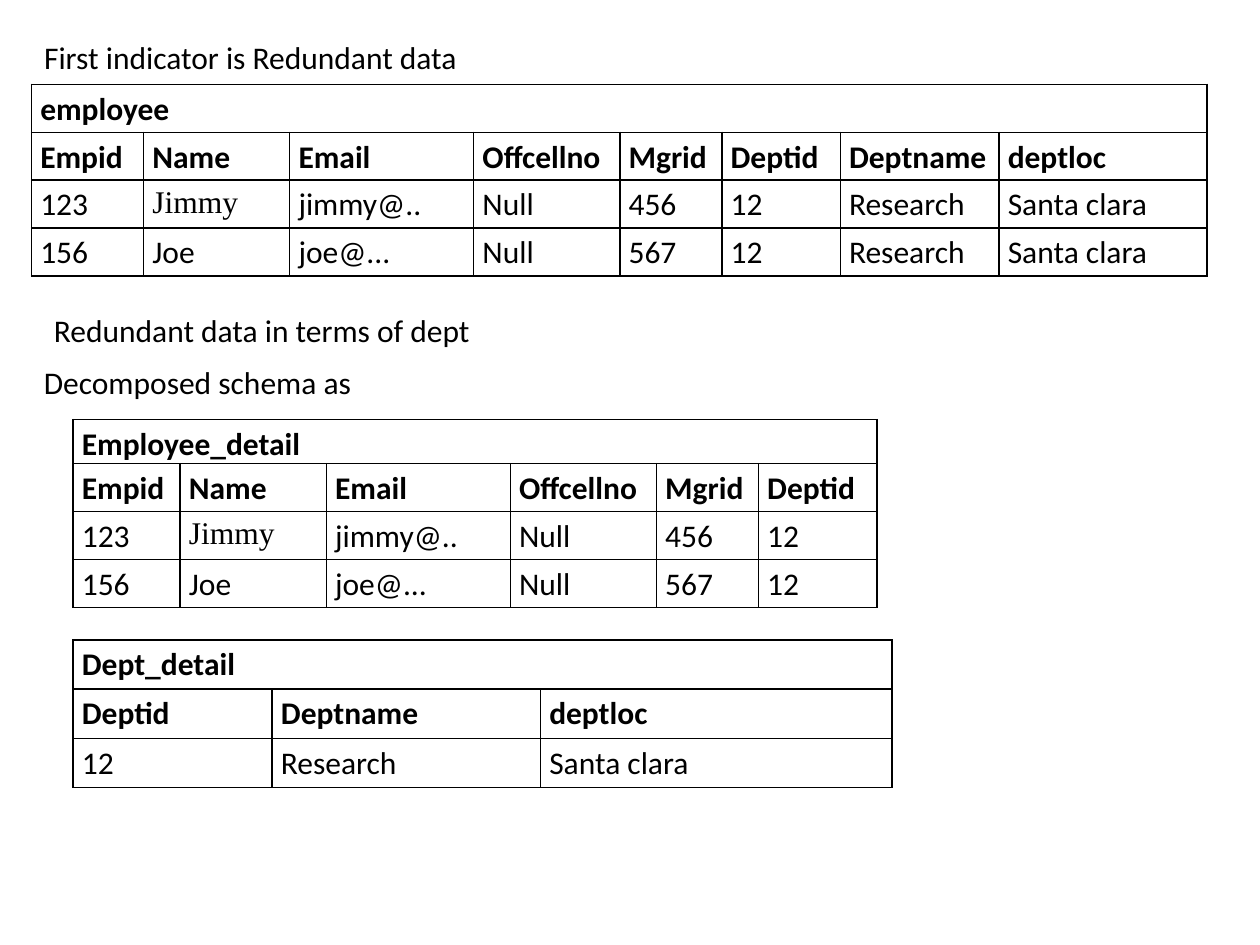
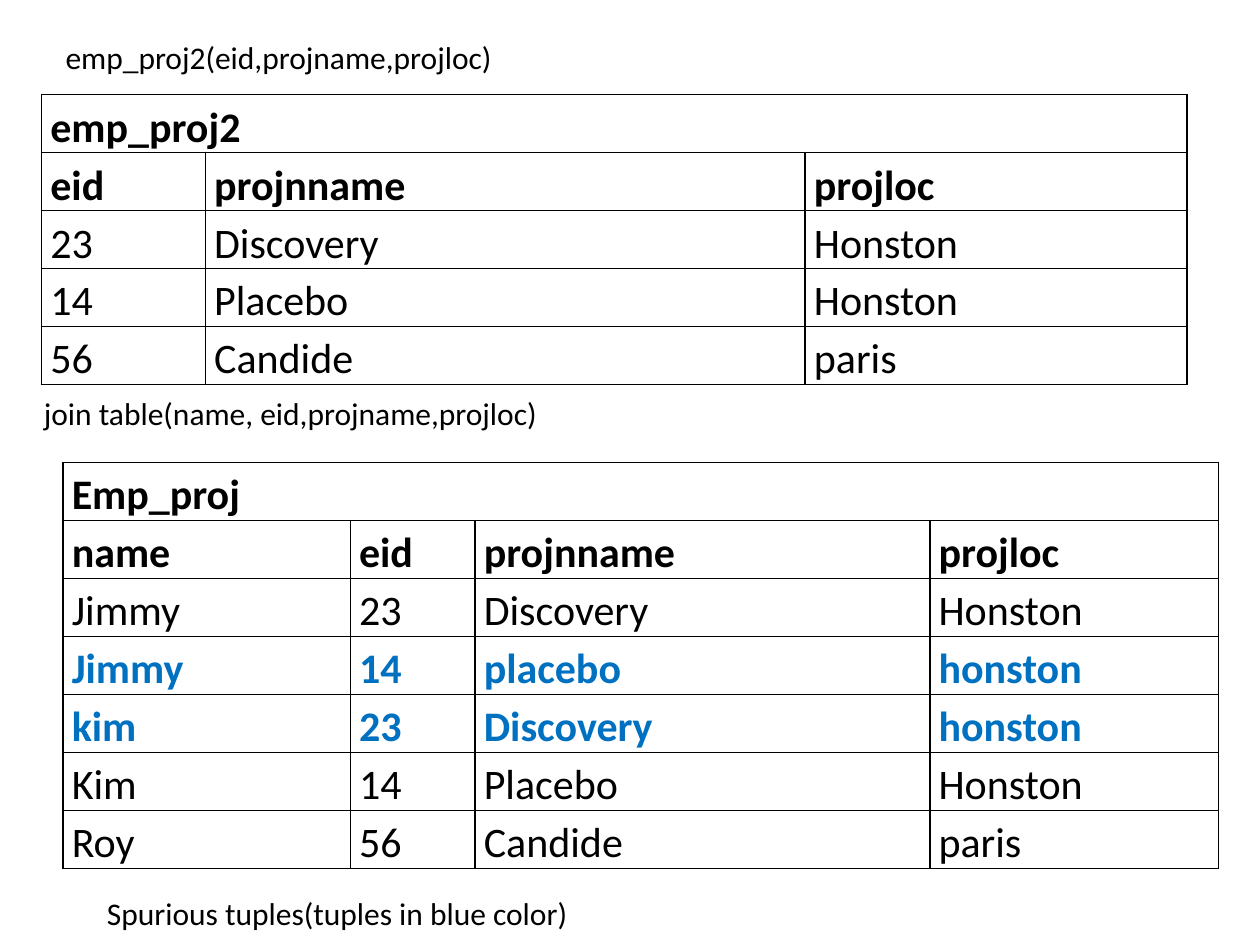
from dataclasses import dataclass

from lxml.etree import SubElement
from pptx import Presentation
from pptx.dml.color import RGBColor
from pptx.enum.text import MSO_ANCHOR, MSO_AUTO_SIZE, PP_ALIGN
from pptx.oxml.ns import qn
from pptx.slide import Slide
from pptx.table import _Cell
from pptx.text.text import TextFrame
from pptx.util import Inches, Pt


@dataclass(frozen=True)
class Theme:
    text: RGBColor = RGBColor(0x00, 0x00, 0x00)
    highlight: RGBColor = RGBColor(0x00, 0x70, 0xC0)
    border: str = "000000"
    border_width: int = Pt(1)
    font: str = "Calibri"
    serif_font: str = "Times New Roman"
    body_size: int = 18
    large_size: int = 24
    cell_spacing: float = 1.15
    cell_margin: float = 0.07


THEME = Theme()


@dataclass(frozen=True)
class Caption:
    text: str
    left: float
    top: float
    width: float = 6.33
    height: float = 0.4


@dataclass(frozen=True)
class Relation:
    """A database table: a merged name row, a row of attributes, then tuples."""
    name: str
    attributes: tuple[str, ...]
    tuples: tuple[tuple[str, ...], ...]
    left: float
    top: float
    widths: tuple[float, ...]
    row_height: float
    name_height: float
    size: int = THEME.body_size
    serif_words: tuple[str, ...] = ()
    spurious: tuple[int, ...] = ()


EMPLOYEE_ATTRIBUTES = (
    "Empid", "Name", "Email", "Offcellno", "Mgrid", "Deptid", "Deptname", "deptloc",
)
EMPLOYEES = (
    ("123", "Jimmy", "jimmy@..", "Null", "456", "12", "Research", "Santa clara"),
    ("156", "Joe", "joe@...", "Null", "567", "12", "Research", "Santa clara"),
)
DETAIL_WIDTHS = (1.16, 1.46, 1.16, 0.81, 0.94)

REDUNDANT_TITLE = Caption("First indicator is Redundant data", 0.25, 0.25)
REDUNDANT_CAPTIONS = (
    Caption("Redundant data in terms of dept", 0.33, 2.42),
    Caption("Decomposed schema as", 0.25, 2.83),
)
REDUNDANT_RELATIONS = (
    Relation("employee", EMPLOYEE_ATTRIBUTES, EMPLOYEES, 0.25, 0.67,
             (0.89, *DETAIL_WIDTHS, 1.26, 1.65), 0.38, 0.38, serif_words=("Jimmy",)),
    Relation("Employee_detail", EMPLOYEE_ATTRIBUTES[:6],
             tuple(employee[:6] for employee in EMPLOYEES), 0.58, 3.33,
             (0.85, *DETAIL_WIDTHS), 0.38, 0.35, serif_words=("Jimmy",)),
    Relation("Dept_detail", EMPLOYEE_ATTRIBUTES[5:], (EMPLOYEES[0][5:],),
             0.58, 5.08, (1.58, 2.13, 2.79), 0.39, 0.39),
)

SPURIOUS_TITLE = Caption("emp_proj2(eid,projname,projloc)", 0.42, 0.25, 4.23)
SPURIOUS_CAPTIONS = (
    Caption("join table(name, eid,projname,projloc)", 0.25, 3.08, 4.9),
    Caption("Spurious tuples(tuples in blue color)", 0.75, 7.05, 4.64),
)
PROJECT_ATTRIBUTES = ("eid", "projnname", "projloc")
PROJECTS = (
    ("23", "Discovery", "Honston"),
    ("14", "Placebo", "Honston"),
    ("56", "Candide", "paris"),
)
DISCOVERY, PLACEBO, CANDIDE = PROJECTS
SPURIOUS_RELATIONS = (
    Relation("emp_proj2", PROJECT_ATTRIBUTES, PROJECTS, 0.33, 0.75,
             (1.3, 4.76, 3.03), 0.46, 0.46, THEME.large_size),
    Relation("Emp_proj", ("name", *PROJECT_ATTRIBUTES),
             (("Jimmy", *DISCOVERY),
              ("Jimmy", "14", "placebo", "honston"),
              ("kim", "23", "Discovery", "honston"),
              ("Kim", *PLACEBO),
              ("Roy", *CANDIDE)),
             0.5, 3.67, (2.28, 0.99, 3.61, 2.29), 0.46, 0.46,
             THEME.large_size, spurious=(1, 2)),
)


def write_text(frame: TextFrame, text: str, *, size: int = THEME.body_size,
               font: str = THEME.font, color: RGBColor = THEME.text,
               bold: bool = False, spacing: float = 1.0) -> None:
    paragraph = frame.paragraphs[0]
    paragraph.alignment = PP_ALIGN.LEFT
    paragraph.line_spacing = spacing
    run = paragraph.add_run()
    run.text = text
    run.font.size = Pt(size)
    run.font.name = font
    run.font.color.rgb = color
    run.font.bold = bold


def format_cell(cell: _Cell) -> None:
    """Give a cell thin borders, no fill and tight margins."""
    cell.margin_left = cell.margin_right = Inches(THEME.cell_margin)
    cell.margin_top = cell.margin_bottom = 0
    properties = cell._tc.get_or_add_tcPr()
    for side in ("lnL", "lnR", "lnT", "lnB"):
        line = SubElement(properties, qn(f"a:{side}"), w=str(THEME.border_width))
        fill = SubElement(line, qn("a:solidFill"))
        SubElement(fill, qn("a:srgbClr"), val=THEME.border)
    cell.fill.background()


def add_relation(slide: Slide, relation: Relation) -> None:
    rows = ((relation.name,), relation.attributes, *relation.tuples)
    height = relation.name_height + relation.row_height * (len(rows) - 1)
    table = slide.shapes.add_table(
        len(rows), len(relation.widths), Inches(relation.left), Inches(relation.top),
        Inches(sum(relation.widths)), Inches(height)).table
    table.first_row = table.horz_banding = False
    for column, width in zip(table.columns, relation.widths):
        column.width = Inches(width)
    for row in table.rows:
        row.height = Inches(relation.row_height)
    table.rows[0].height = Inches(relation.name_height)
    for cell in table.iter_cells():
        format_cell(cell)
    table.cell(0, 0).merge(table.cell(0, len(relation.widths) - 1))

    for row_index, words in enumerate(rows):
        spurious = row_index - 2 in relation.spurious
        for column_index, word in enumerate(words):
            write_text(
                table.cell(row_index, column_index).text_frame, word,
                size=relation.size, spacing=THEME.cell_spacing,
                font=THEME.serif_font if word in relation.serif_words else THEME.font,
                color=THEME.highlight if spurious else THEME.text,
                bold=row_index < 2 or spurious)


def place_caption(shape, caption: Caption) -> None:
    shape.left, shape.top = Inches(caption.left), Inches(caption.top)
    shape.width, shape.height = Inches(caption.width), Inches(caption.height)
    frame = shape.text_frame
    frame.word_wrap = True
    frame.auto_size = MSO_AUTO_SIZE.SHAPE_TO_FIT_TEXT
    frame.vertical_anchor = MSO_ANCHOR.TOP
    write_text(frame, caption.text)


def add_relations_slide(presentation, title: Caption, captions: tuple[Caption, ...],
                        relations: tuple[Relation, ...]) -> None:
    slide = presentation.slides.add_slide(
        presentation.slide_layouts.get_by_name("Title Only"))
    place_caption(slide.shapes.title, title)
    for relation in relations:
        add_relation(slide, relation)
    for caption in captions:
        place_caption(slide.shapes.add_textbox(0, 0, 0, 0), caption)


def main() -> None:
    presentation = Presentation()
    presentation.slide_width, presentation.slide_height = Inches(10), Inches(7.5)
    add_relations_slide(presentation, REDUNDANT_TITLE, REDUNDANT_CAPTIONS,
                        REDUNDANT_RELATIONS)
    add_relations_slide(presentation, SPURIOUS_TITLE, SPURIOUS_CAPTIONS,
                        SPURIOUS_RELATIONS)
    presentation.save("out.pptx")


if __name__ == "__main__":
    main()
